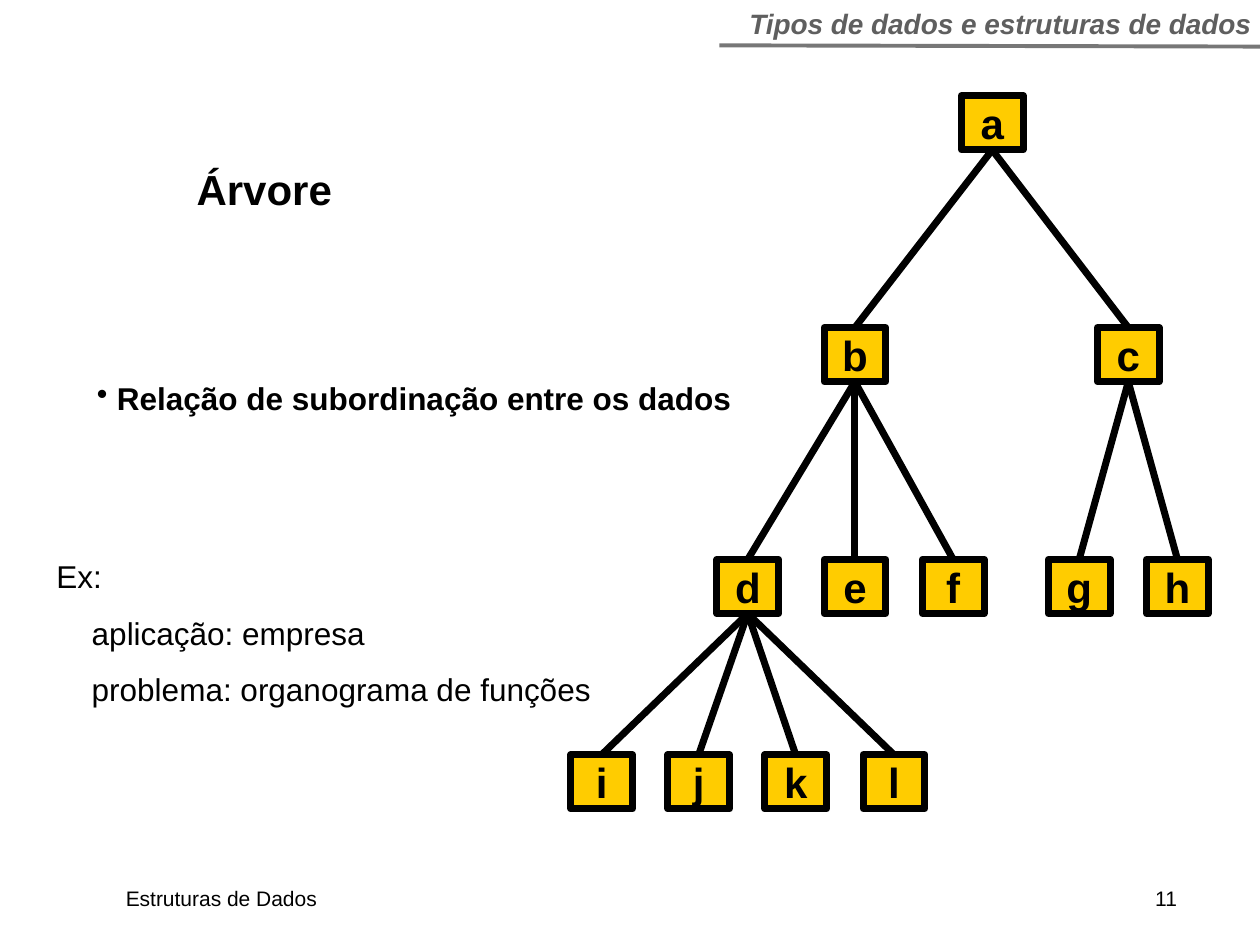
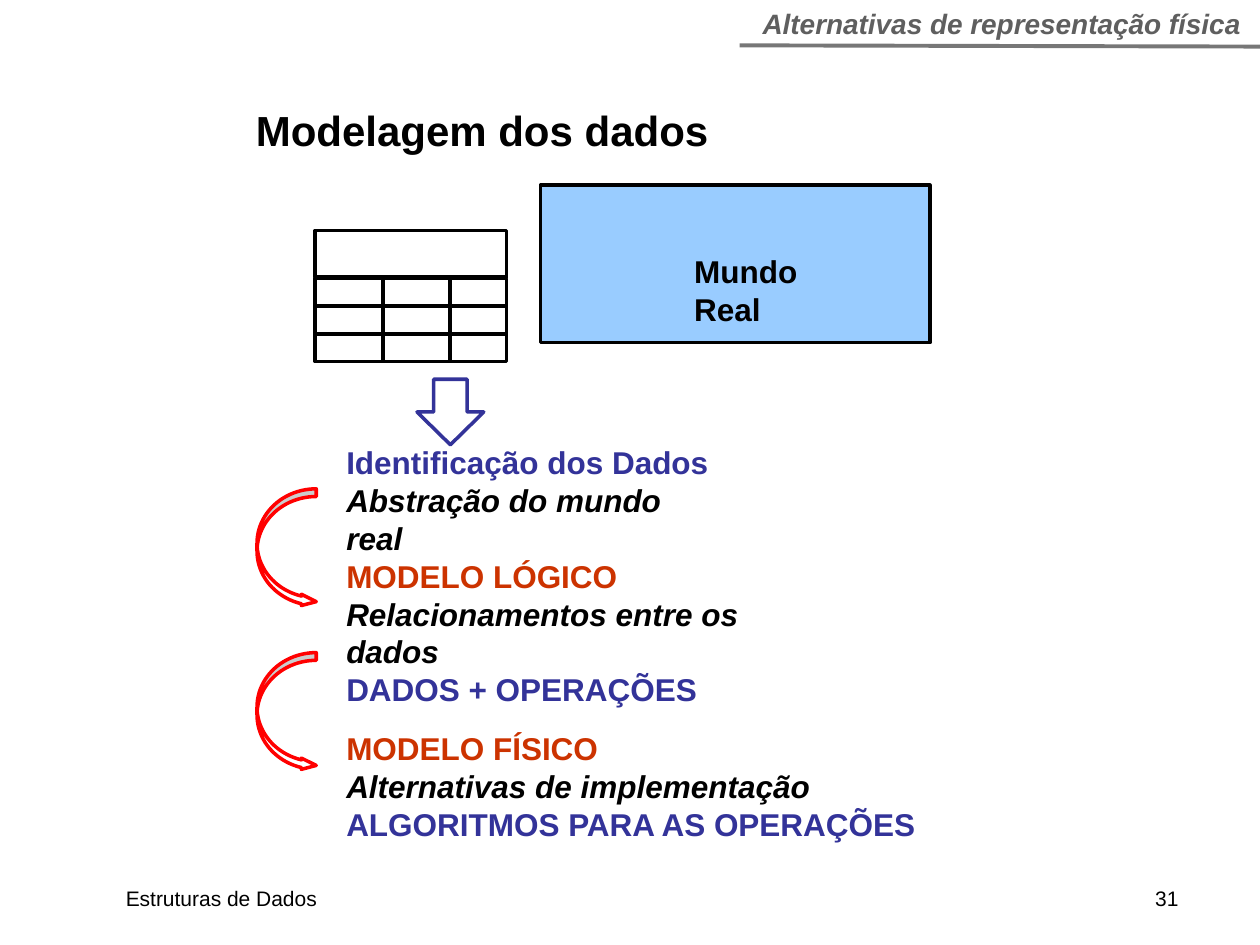
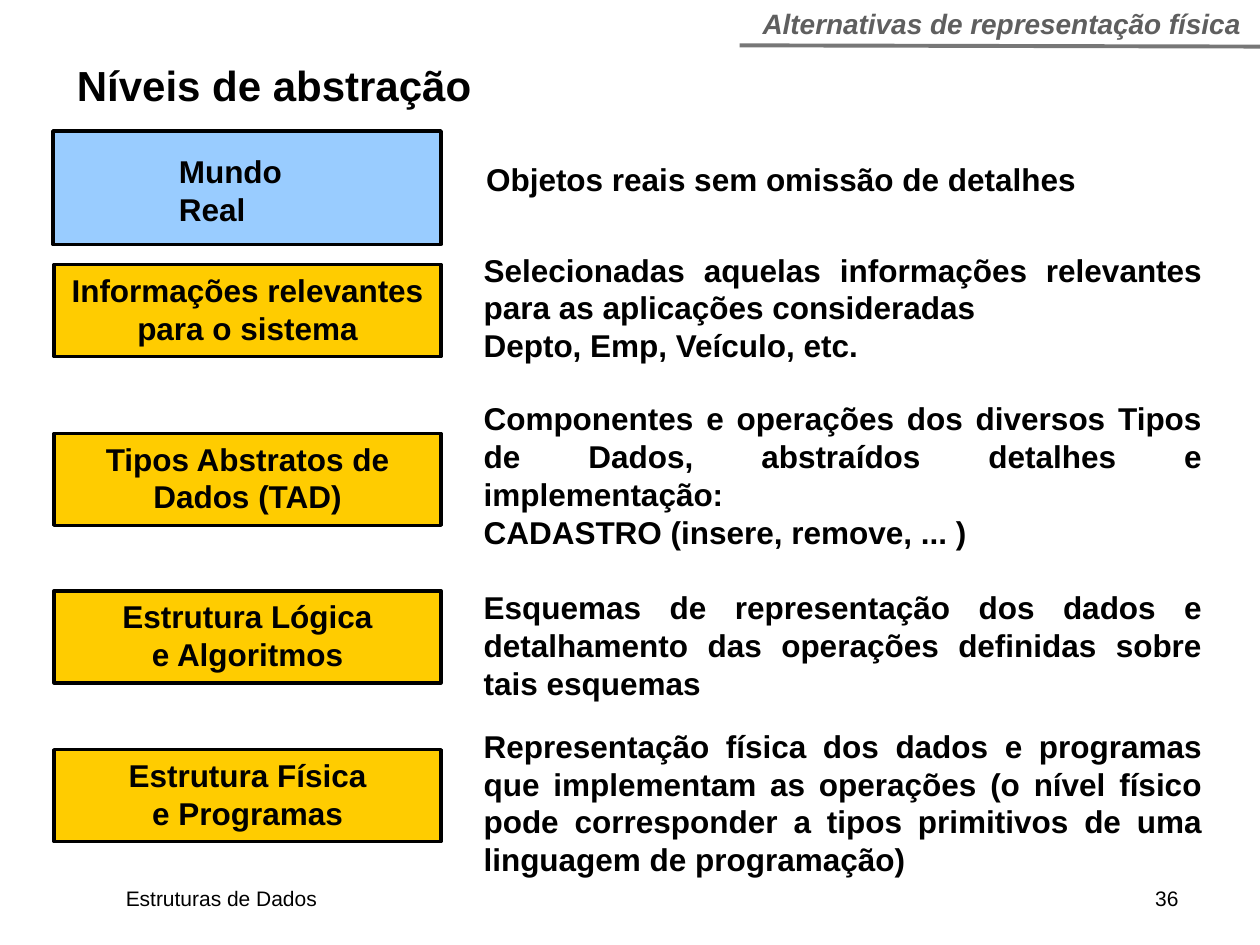
from dataclasses import dataclass

from lxml.etree import SubElement
from pptx import Presentation
from pptx.dml.color import RGBColor
from pptx.enum.shapes import MSO_CONNECTOR, MSO_SHAPE
from pptx.enum.text import MSO_ANCHOR, MSO_AUTO_SIZE, PP_ALIGN
from pptx.oxml.ns import qn
from pptx.util import Inches, Pt


@dataclass(frozen=True)
class Theme:
    font: str = "Arial"
    black: str = "000000"
    white: str = "FFFFFF"
    yellow: str = "FFCC00"
    sky: str = "99CCFF"
    navy: str = "333399"
    brick: str = "CC3300"
    red: str = "FF0000"
    rule: str = "777777"
    header: str = "5F5F5F"
    title_size: int = 24
    body_size: int = 18
    header_size: int = 16
    footer_size: int = 12
    thin: float = 2
    rule_width: float = 2.25
    thick: float = 4


@dataclass(frozen=True)
class Line:
    """One paragraph; a line feed in its text is a line break."""
    text: str
    color: str = Theme.black
    bold: bool = True
    italic: bool = False
    size: int = Theme.body_size
    indent: float = 0
    bullet: bool = False
    spacing: float = 1.0


class Page:
    def __init__(self, deck, theme):
        self.deck = deck
        self.theme = theme
        self.slide = None

    def start(self, number, title, title_at, header, header_at, rule_left):
        """Add a slide with its title, header band and footer."""
        theme = self.theme
        self.slide = self.deck.slides.add_slide(self.deck.slide_layouts[5])
        placeholder = self.slide.shapes.title
        left, top, width, height = map(Inches, title_at)
        placeholder.left, placeholder.top = left, top
        placeholder.width, placeholder.height = width, height
        self.set_lines(placeholder, [Line(title, size=theme.title_size)],
                       anchor=MSO_ANCHOR.MIDDLE)

        footer = self.text((0.9, 6.98, 8.74, 0.3), [
            Line(f"Estruturas de Dados\t{number}", bold=False,
                 size=theme.footer_size)])
        properties = footer.text_frame.paragraphs[0]._p.get_or_add_pPr()
        tabs = SubElement(properties, qn("a:tabLst"))
        SubElement(tabs, qn("a:tab"), pos=str(Inches(8.17)), algn="l")

        self.line((rule_left, 0.36), (10, 0.37), theme.rule, theme.rule_width)
        self.text(header_at, [Line(header, theme.header, italic=True,
                                   size=theme.header_size)], PP_ALIGN.CENTER)

    def set_lines(self, box, lines, align=PP_ALIGN.LEFT,
                  anchor=MSO_ANCHOR.TOP, margin=0.1):
        frame = box.text_frame
        frame.word_wrap = True
        frame.auto_size = MSO_AUTO_SIZE.NONE
        frame.vertical_anchor = anchor
        frame.margin_left = frame.margin_right = Inches(margin)
        frame.margin_top = frame.margin_bottom = Inches(margin / 2)
        for index, line in enumerate(lines):
            para = frame.add_paragraph() if index else frame.paragraphs[0]
            para.alignment = align
            para.line_spacing = line.spacing
            if line.indent:
                self.indent(para, line)
            for part, words in enumerate(line.text.split("\n")):
                if part:
                    para.add_line_break()
                span = para.add_run()
                span.text = words
                font = span.font
                font.name, font.size = self.theme.font, Pt(line.size)
                font.bold, font.italic = line.bold, line.italic
                font.color.rgb = RGBColor.from_string(line.color)

    def indent(self, para, line):
        properties = para._p.get_or_add_pPr()
        properties.set("marL", str(Inches(line.indent)))
        if line.bullet:
            properties.set("indent", str(-Inches(line.indent)))
            SubElement(properties, qn("a:buChar"), char="•")

    def text(self, at, lines, align=PP_ALIGN.LEFT, margin=0.1):
        box = self.slide.shapes.add_textbox(*map(Inches, at))
        self.set_lines(box, lines, align, margin=margin)
        return box

    def shape(self, kind, at, fill, outline=Theme.black, width=Theme.thin,
              adjustments=()):
        shape = self.slide.shapes.add_shape(kind, *map(Inches, at))
        shape.shadow.inherit = False
        shape.fill.solid()
        shape.fill.fore_color.rgb = RGBColor.from_string(fill)
        shape.line.color.rgb = RGBColor.from_string(outline)
        shape.line.width = Pt(width)
        for index, value in enumerate(adjustments):
            shape.adjustments[index] = value
        return shape

    def rectangle(self, at, fill, width=Theme.thin):
        return self.shape(MSO_SHAPE.RECTANGLE, at, fill, width=width)

    def line(self, start, end, color, width):
        connector = self.slide.shapes.add_connector(
            MSO_CONNECTOR.STRAIGHT, *map(Inches, (*start, *end)))
        connector.line.color.rgb = RGBColor.from_string(color)
        connector.line.width = Pt(width)
        SubElement(connector._element.spPr, qn("a:effectLst"))
        return connector

    def branch(self, parent, child):
        """Join the bottom of one box to the top of another."""
        connector = self.line((0, 0), (1, 1), self.theme.black,
                              self.theme.thick)
        connector.begin_connect(parent, 2)
        connector.end_connect(child, 0)

    def real_world(self, at, label_left, label_top):
        self.rectangle(at, self.theme.sky)
        self.text((label_left, label_top, 1.1, 0.72),
                  [Line("Mundo"), Line("Real")], PP_ALIGN.JUSTIFY, margin=0.12)


def tree_slide(page):
    theme = page.theme
    page.start(11, "Árvore", (1.46, 1.07, 1.42, 0.86),
               "Tipos de dados e estruturas de dados", (5.84, 0, 4.2, 0.37),
               5.71)
    levels = {
        0.76: {"a": 7.63},
        2.6: {"b": 6.54, "c": 8.71},
        4.44: {"d": 5.69, "e": 6.54, "f": 7.32, "g": 8.32, "h": 9.1},
        5.99: {"i": 4.53, "j": 5.3, "k": 6.07, "l": 6.85},
    }
    children = {"a": "bc", "b": "def", "c": "gh", "d": "ijkl"}
    nodes = {}
    for top, row in levels.items():
        for name, left in row.items():
            node = page.rectangle((left, top, 0.49, 0.43), theme.yellow,
                                  theme.thick)
            page.set_lines(node, [Line(name, size=theme.title_size)],
                           PP_ALIGN.CENTER, MSO_ANCHOR.MIDDLE)
            nodes[name] = node
    for parent, names in children.items():
        for name in names:
            page.branch(nodes[parent], nodes[name])

    page.text((0.67, 2.96, 5.28, 0.4), [
        Line("Relação de subordinação entre os dados", indent=0.16,
             bullet=True)])
    page.text((0.35, 4.22, 4.6, 1.45), [
        Line(words, bold=False, indent=indent, spacing=1.5)
        for words, indent in (("Ex:", 0), ("aplicação: empresa", 0.28),
                              ("problema: organograma de funções", 0.28))])


def modelling_slide(page):
    theme = page.theme
    page.start(31, "Modelagem dos dados", (1.93, 0.76, 3.94, 0.54),
               **PHYSICAL_HEADER)
    page.rectangle((2.5, 1.83, 1.52, 0.37), theme.white)
    for row in range(3):
        for left, width in ((2.5, 0.7), (3.04, 0.7), (3.57, 0.45)):
            page.rectangle((left, 2.21 + 0.22 * row, width, 0.22), theme.white)

    page.text((2.65, 3.47, 3.2, 1), [
        Line("Identificação dos Dados", theme.navy),
        Line("Abstração do mundo real", italic=True)])
    models = (
        (4.37, 4.1, "MODELO LÓGICO", "Relacionamentos entre os dados",
         "DADOS + OPERAÇÕES"),
        (5.74, 4.76, "MODELO FÍSICO", "Alternativas de implementação",
         "ALGORITMOS PARA AS OPERAÇÕES"),
    )
    for top, width, model, meaning, result in models:
        page.text((2.65, top, width, 1), [
            Line(model, theme.brick), Line(meaning, italic=True),
            Line(result, theme.navy)])

    page.shape(MSO_SHAPE.DOWN_ARROW, (3.31, 3.01, 0.53, 0.52), theme.white,
               theme.navy)
    for top in (3.88, 5.18):
        page.shape(MSO_SHAPE.CURVED_RIGHT_ARROW, (2.04, top, 0.47, 0.94),
                   theme.white, theme.red, adjustments=(0.13, 0.19, 0.25))
    page.real_world((4.29, 1.47, 3.09, 1.25), 5.39, 1.94)


def levels_slide(page):
    page.start(36, "Níveis de abstração", (0.51, 0.36, 3.53, 0.62),
               **PHYSICAL_HEADER)
    page.real_world((0.42, 1.04, 3.08, 0.9), 1.3, 1.15)
    page.text((3.76, 1.22, 5, 0.7),
              [Line("Objetos reais sem omissão de detalhes")],
              PP_ALIGN.JUSTIFY)
    levels = (
        (2.1, "Informações relevantes\npara o sistema", 1.94, 1,
         ("Selecionadas aquelas informações relevantes para as aplicações "
          "consideradas", "Depto, Emp, Veículo, etc.")),
        (3.44, "Tipos Abstratos de Dados (TAD)", 3.12, 1.3,
         ("Componentes e operações dos diversos Tipos de Dados, abstraídos "
          "detalhes e implementação:", "CADASTRO (insere, remove, ... )")),
        (4.69, "Estrutura Lógica\ne Algoritmos", 4.62, 1,
         ("Esquemas de representação dos dados e detalhamento das operações "
          "definidas sobre tais esquemas",)),
        (5.95, "Estrutura Física\ne Programas", 5.72, 1.3,
         ("Representação física dos dados e programas que implementam as "
          "operações (o nível físico pode corresponder a tipos primitivos de "
          "uma linguagem de programação)",)),
    )
    for box_top, name, top, height, description in levels:
        box = page.rectangle((0.43, box_top, 3.07, 0.73), page.theme.yellow)
        page.set_lines(box, [Line(name)], PP_ALIGN.CENTER)
        page.text((3.74, top, 5.9, height), map(Line, description),
                  PP_ALIGN.JUSTIFY)


PHYSICAL_HEADER = {
    "header": "Alternativas de representação física",
    "header_at": (5.95, 0, 4, 0.37),
    "rule_left": 5.87,
}


def main():
    deck = Presentation()
    deck.slide_width, deck.slide_height = Inches(10), Inches(7.5)
    page = Page(deck, Theme())
    tree_slide(page)
    modelling_slide(page)
    levels_slide(page)
    deck.save("out.pptx")


if __name__ == "__main__":
    main()
